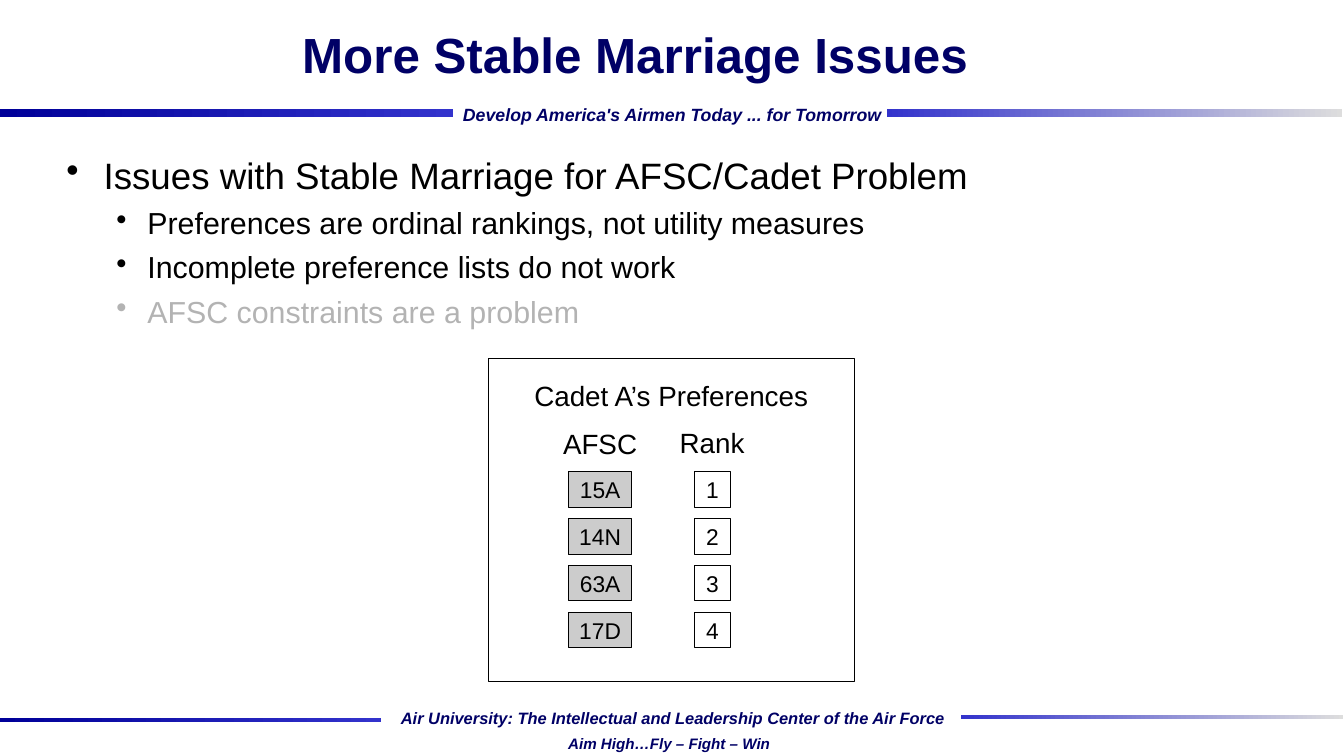
"""Build the slide on stable marriage issues in the AFSC/cadet problem."""
import lxml.etree
import pptx
import pptx.dml.color
import pptx.enum.shapes
import pptx.enum.text
import pptx.oxml.ns
import pptx.util

RGB = pptx.dml.color.RGBColor.from_string
ALIGN = pptx.enum.text.PP_ALIGN
MIDDLE = pptx.enum.text.MSO_ANCHOR.MIDDLE
TOP = pptx.enum.text.MSO_ANCHOR.TOP
RECTANGLE = pptx.enum.shapes.MSO_SHAPE.RECTANGLE

THEME = {
    "font": "Arial",
    "navy": "000066", "black": "000000", "muted": "B3B3B3", "cell": "CCCCCC",
    "bar_dark": "000099", "bar_mid": "3333CC", "bar_pale": "DDDDDD",
    "title": 39, "topic": 29, "point": 24, "heading": 22, "entry": 18,
    "motto": 14, "footer": 13, "slogan": 12,
}

deck = pptx.Presentation()
deck.slide_width = pptx.util.Inches(14.76)
deck.slide_height = pptx.util.Inches(8.3)
COLUMN = deck.slide_width / 100
ROW = deck.slide_height / 100
slide = deck.slides.add_slide(deck.slide_layouts[5])


def area(left, top, width, height):
    return [round(n * unit) for n, unit in zip((left, top, width, height), (COLUMN, ROW) * 2)]


def write(frame, text, size, color="black", align=ALIGN.CENTER, anchor=TOP, wrap=False, **look):
    frame_format = {"word_wrap": wrap, "vertical_anchor": anchor,
                    "auto_size": pptx.enum.text.MSO_AUTO_SIZE.NONE}
    for key, value in frame_format.items():
        setattr(frame, key, value)
    paragraph = frame.paragraphs[0] if not frame.text else frame.add_paragraph()
    paragraph.alignment = align
    run = paragraph.add_run()
    run.text = text
    font_format = {"name": THEME["font"], "size": pptx.util.Pt(THEME[size]), **look}
    for key, value in font_format.items():
        setattr(run.font, key, value)
    run.font.color.rgb = RGB(THEME[color])
    return paragraph


bars = [
    (0, 14.46, 33.74, 1.08, "bar_dark", "bar_mid"),
    (65.99, 14.46, 33.88, 1.08, "bar_mid", "bar_pale"),
    (0, 94.94, 28.32, 0.6, "bar_dark", "bar_mid"),
    (71.48, 94.58, 28.46, 0.6, "bar_mid", "bar_pale"),
]
for *place, start, end in bars:
    bar = slide.shapes.add_shape(RECTANGLE, *area(*place))
    bar.shadow.inherit = False
    bar.line.fill.background()
    bar.fill.gradient()
    bar.fill.gradient_angle = 0
    for stop, color in zip(bar.fill.gradient_stops, (start, end)):
        stop.color.rgb = RGB(THEME[color])

mottos = [
    (33.67, 13.13, 32.72, 4.1, "Develop America's Airmen Today ... for Tomorrow", "motto"),
    (28.86, 93.01, 42.34, 3.73,
     "Air University: The Intellectual and Leadership Center of the Air Force", "footer"),
    (41.4, 96.51, 16.8, 3.49, "Aim High…Fly – Fight – Win", "slogan"),
]
for *place, text, size in mottos:
    motto = slide.shapes.add_textbox(*area(*place))
    write(motto.text_frame, text, size, "navy", bold=True, italic=True)

title = slide.shapes.title
title.left, title.top, title.width, title.height = area(8.54, 0, 77.44, 14.1)
write(title.text_frame, "More Stable Marriage Issues", "title", "navy",
      anchor=MIDDLE, wrap=True, bold=True)

issues = slide.shapes.add_textbox(*area(4.27, 19.64, 85.98, 24)).text_frame
outline = [
    (0, "Issues with Stable Marriage for AFSC/Cadet Problem", "topic", "black"),
    (1, "Preferences are ordinal rankings, not utility measures", "point", "black"),
    (1, "Incomplete preference lists do not work", "point", "black"),
    (1, "AFSC constraints are a problem", "point", "muted"),
]
indents = [(0.41, -0.41), (0.89, -0.34)]
for level, text, size, color in outline:
    issue = write(issues, text, size, color, ALIGN.LEFT, wrap=True)
    issue.level = level
    properties = issue._p.get_or_add_pPr()
    for key, length in zip(("marL", "indent"), indents[level]):
        properties.set(key, str(pptx.util.Inches(length)))
    bullet = lxml.etree.SubElement(properties, pptx.oxml.ns.qn("a:buChar"))
    bullet.set("char", "•")
    if level:
        issue.space_before = pptx.util.Pt(6)

preferences = slide.shapes.add_group_shape().shapes
ranking = ["15A", "14N", "63A", "17D"]
boxes = [(36.38, 47.47, 27.17, 42.65, "", None)]
for rank, afsc in enumerate(ranking):
    top = 62.41 + 6.19 * rank
    boxes += [(42.28, top, 4.74, 4.7, afsc, "cell"),
              (51.69, top, 2.64, 4.7, str(rank + 1), None)]
for *place, text, fill in boxes:
    box = preferences.add_shape(RECTANGLE, *area(*place))
    box.shadow.inherit = False
    box.line.color.rgb = RGB(THEME["black"])
    box.line.width = pptx.util.Pt(0.75)
    if fill:
        box.fill.solid()
        box.fill.fore_color.rgb = RGB(THEME[fill])
    else:
        box.fill.background()
    if text:
        write(box.text_frame, text, "entry", anchor=MIDDLE)

headings = [
    (39.09, 49.52, 22.97, 6.75, "Cadet A’s Preferences", ALIGN.LEFT),
    (41.06, 55.78, 7.18, 6.75, "AFSC", ALIGN.CENTER),
    (49.39, 55.66, 7.18, 6.75, "Rank", ALIGN.CENTER),
]
for *place, text, align in headings:
    heading = preferences.add_textbox(*area(*place))
    write(heading.text_frame, text, "heading", align=align, wrap=True)

deck.save("out.pptx")
